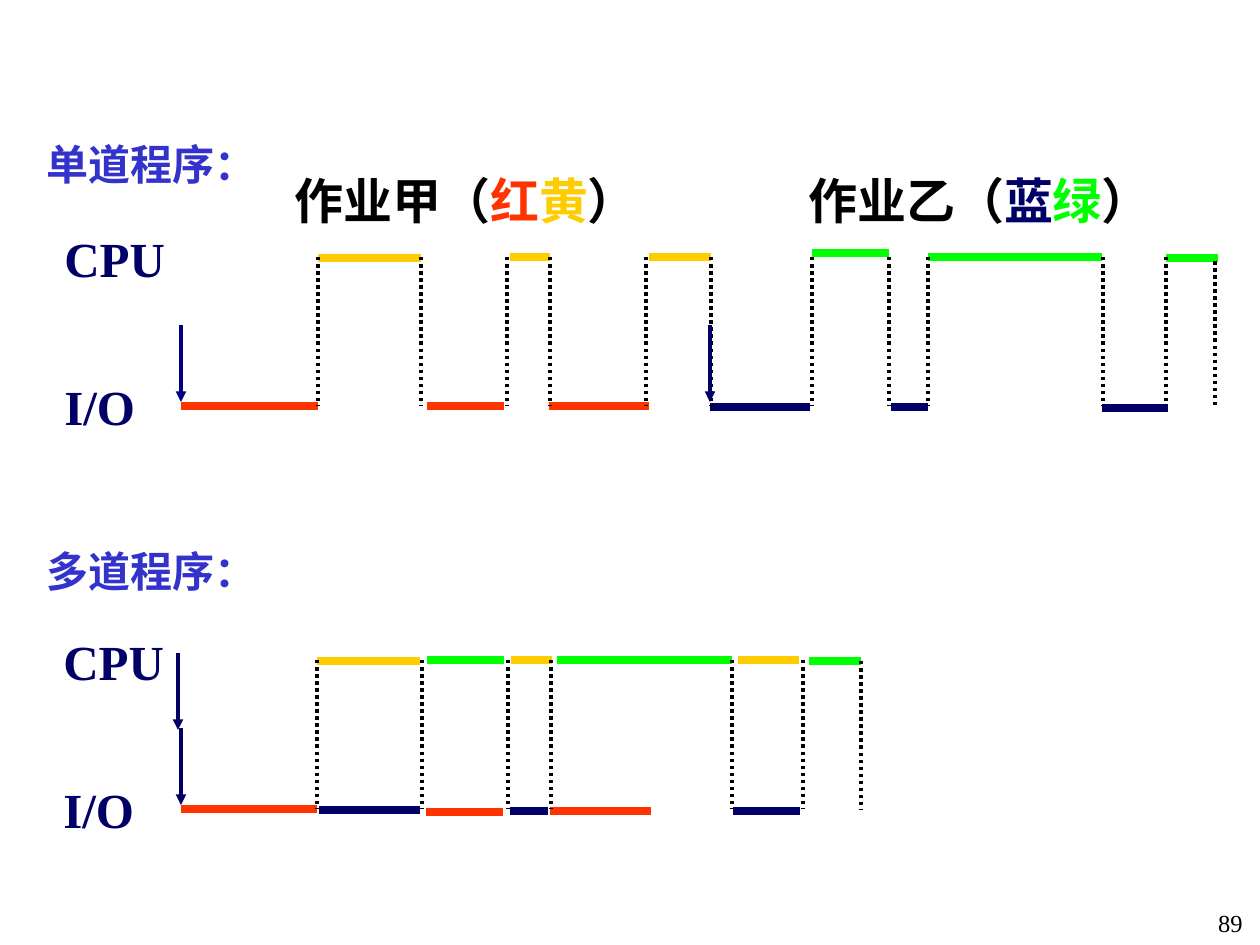
from pptx import Presentation
from pptx.dml.color import RGBColor
from pptx.enum.dml import MSO_LINE
from pptx.enum.shapes import MSO_CONNECTOR
from pptx.enum.text import PP_ALIGN
from pptx.oxml.ns import qn
from pptx.util import Emu, Pt
from lxml import etree

SCALE = 914400 / 126
LINE = MSO_CONNECTOR.STRAIGHT
DOT = MSO_LINE.ROUND_DOT
LEFT, RIGHT = PP_ALIGN.LEFT, PP_ALIGN.RIGHT
BLACK = RGBColor(0x00, 0x00, 0x00)
NAVY = RGBColor(0x00, 0x00, 0x66)
DARK = RGBColor(0x00, 0x00, 0x80)
INDIGO = RGBColor(0x33, 0x33, 0xCC)
RED = RGBColor(0xFF, 0x33, 0x00)
GOLD = RGBColor(0xFF, 0xCC, 0x00)
GREEN = RGBColor(0x00, 0xFF, 0x00)

HEADS = [(34, 132, "单道程序："), (34, 539, "多道程序：")]
LABELS = [
    (52, 222, 126, "CPU"), (52, 370, 96, "I/O"),
    (51, 625, 126, "CPU"), (51, 773, 96, "I/O"),
]
JOBS = [
    (282, [("作业甲（", BLACK), ("红", RED), ("黄", GOLD), ("）", BLACK)]),
    (796, [("作业乙（", BLACK), ("蓝", NAVY), ("绿", GREEN), ("）", BLACK)]),
]
DOTS = [
    (257, 406, [318, 421, 507, 550, 646, 711, 812, 889, 928, 1103, 1166]),
    (261, 408, [1215]),
    (660, 809, [317, 422, 508, 551, 732, 803]),
    (661, 810, [861]),
]
BARS = [
    (RED, [(181, 318, 406), (427, 504, 406), (549, 649, 406),
           (181, 317, 809), (426, 503, 812), (550, 651, 811)]),
    (GOLD, [(318, 421, 258), (510, 550, 257), (649, 711, 257),
            (317, 420, 661), (511, 552, 660), (738, 799, 660)]),
    (NAVY, [(710, 810, 407), (891, 928, 407), (1102, 1168, 408),
            (319, 420, 810), (510, 548, 811), (733, 800, 811)]),
    (GREEN, [(812, 889, 253), (928, 1102, 257), (1166, 1218, 258),
             (427, 504, 660), (557, 732, 660), (809, 861, 661)]),
]
ARROWS = [(181, 325, DARK), (710, 325, NAVY), (181, 728, NAVY), (178, 653, NAVY)]


def px(num):
    """Turn pixels into EMU."""
    return Emu(round(num * SCALE))


class Deck:
    """Hold the style and the current slide."""

    font = "Times New Roman"

    def __init__(self, wide, high):
        """Start a deck with one blank slide."""
        self.prs = Presentation()
        self.prs.slide_width, self.prs.slide_height = px(wide), px(high)
        self.slide = self.prs.slides.add_slide(self.prs.slide_layouts[6])

    def text(self, box, runs, size, bold=True, align=LEFT):
        """Add one line of coloured runs."""
        frame = self.slide.shapes.add_textbox(*map(px, box)).text_frame
        frame.word_wrap = True
        para = frame.paragraphs[0]
        para.alignment = align
        style = {"name": self.font, "size": Pt(size), "bold": bold}
        for words, color in runs:
            run = para.add_run()
            run.text = words
            for key, value in style.items():
                setattr(run.font, key, value)
            run.font.color.rgb = color

    def line(self, start, end, color, width, dash=None):
        """Add a straight line."""
        item = self.slide.shapes.add_connector(LINE, *map(px, start + end))
        item.line.color.rgb = color
        for key, value in {"width": Pt(width), "dash_style": dash}.items():
            setattr(item.line, key, value)
        etree.SubElement(item._element.spPr, qn("a:effectLst"))
        return item

    def arrow(self, x, y, color):
        """Add an arrow that points down."""
        item = self.line((x, y), (x, y + 77), color, 2)
        tail = etree.SubElement(item.line._get_or_add_ln(), qn("a:tailEnd"))
        tail.set("type", "triangle")


def main():
    """Build the timing slide."""
    deck = Deck(1260, 945)
    deck.text((1159, 902, 96, 43), [("89", BLACK)], 14, False, RIGHT)
    for x, y, words in HEADS:
        deck.text((x, y, 321, 63), [(words, INDIGO)], 24)
    for x, y, wide, words in LABELS:
        deck.text((x, y, wide, 72), [(words, NAVY)], 28)
    for x, runs in JOBS:
        deck.text((x, 164, 372, 72), runs, 28)
    for color, spans in BARS:
        for left, right, y in spans:
            deck.line((left, y), (right, y), color, 5)
    for top, base, places in DOTS:
        for x in places:
            deck.line((x, top), (x, base), BLACK, 2, DOT)
    for x, y, color in ARROWS:
        deck.arrow(x, y, color)
    deck.prs.save("out.pptx")


if __name__ == "__main__":
    main()
